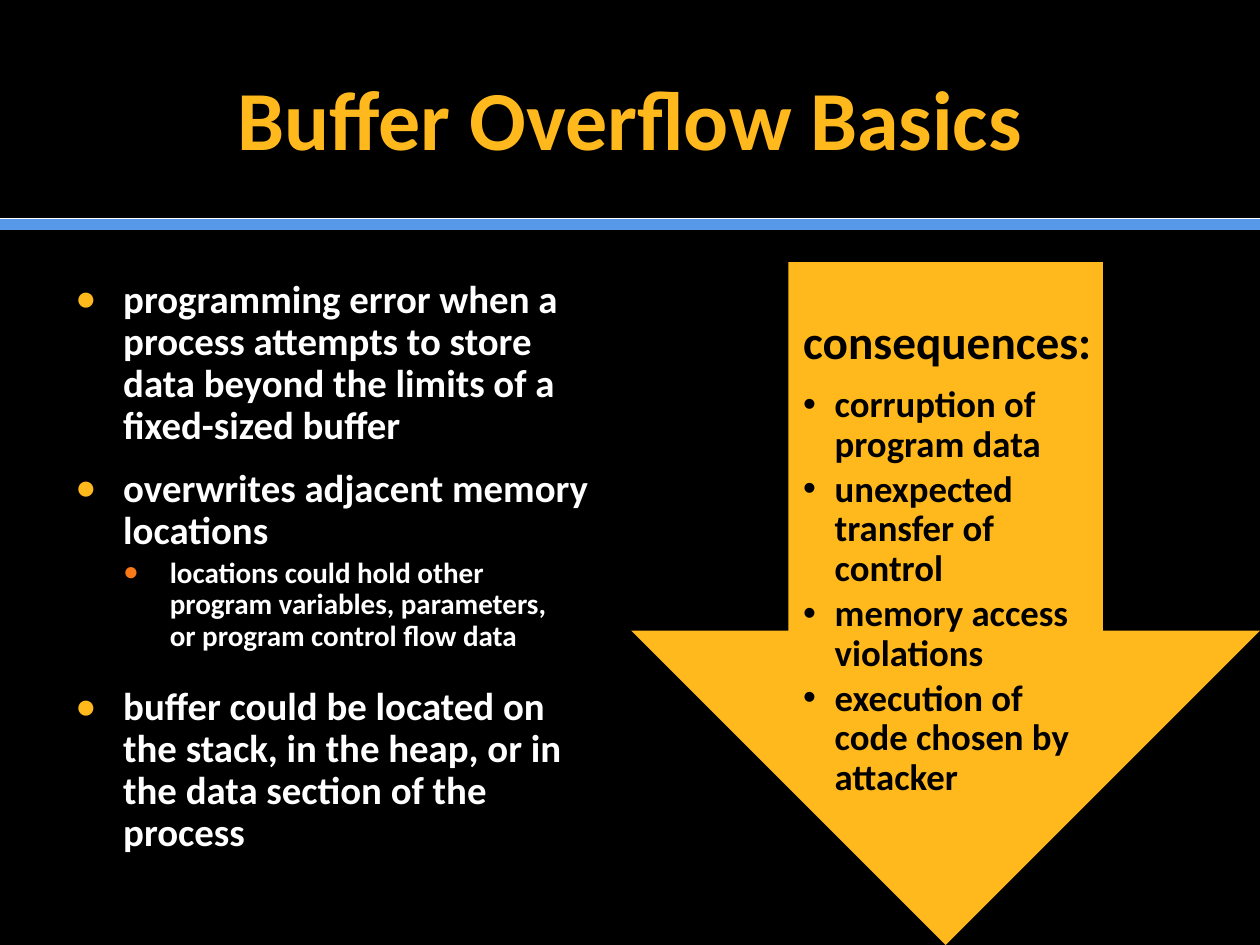
from dataclasses import dataclass

from lxml.etree import SubElement
from pptx import Presentation
from pptx.dml.color import RGBColor
from pptx.enum.shapes import MSO_CONNECTOR, MSO_SHAPE
from pptx.enum.text import MSO_ANCHOR, PP_ALIGN
from pptx.oxml.ns import qn
from pptx.util import Inches, Pt

# Content
TITLE = "Buffer Overflow Basics"
# (style, space before in points, text)
BASICS = [
    ("point", 0, "programming error when a process attempts to store data "
                 "beyond the limits of a fixed-sized buffer"),
    ("point", 12, "overwrites adjacent memory locations"),
    ("detail", 3.3, "locations could hold other program variables, parameters,"
                    "\vor program control flow data"),
    ("point", 20, "buffer could be located on the stack, in the heap, "
                  "or in the data section of the process"),
]
CONSEQUENCES = [
    ("heading", 0, "consequences:"),
    ("consequence", 9, "corruption of program data"),
    ("consequence", 3, "unexpected transfer of control"),
    ("consequence", 3, "memory access violations"),
    ("consequence", 3, "execution of code chosen by attacker"),
]


@dataclass(frozen=True)
class Style:
    size: float
    color: str
    bullet: str = ""
    bullet_color: str = ""
    bullet_share: int = 100
    indent: float = 0
    hang: float = 0


@dataclass(frozen=True)
class Theme:
    font: str = "Calibri"
    black: str = "000000"
    white: str = "FFFFFF"
    gold: str = "FFB91D"
    orange: str = "F97817"
    blue: str = "5799E8"
    title_size: int = 48
    line_spacing: float = 0.9


THEME = Theme()
STYLES = {
    "title": Style(THEME.title_size, THEME.gold),
    "point": Style(22.2, THEME.white, "●", THEME.gold, 90, 0.38, 0.38),
    "detail": Style(16.6, THEME.white, "●", THEME.orange, 90, 0.75, 0.37),
    "heading": Style(27, THEME.black),
    "consequence": Style(21, THEME.black, "•", THEME.black, 100, 0.25, 0.25),
}

# Layout in inches
WIDTH, HEIGHT = 10, 7.5
MARGIN = 0.05 * WIDTH
BODY_TOP = 2.17
ARROW_LEFT, ARROW_TOP = 5.01, 2.08
ARROW_WIDTH = WIDTH - ARROW_LEFT
PANEL_WIDTH, PANEL_HEIGHT = 2.8, 4.92
PANEL_LEFT = ARROW_LEFT + (ARROW_WIDTH - PANEL_WIDTH) / 2 + 0.06
PANEL_INSET = 0.21
RULES = [(1.78, THEME.blue, 7), (1.73, THEME.white, 0.5)]


def add_bullet(paragraph, style):
    props = paragraph._p.get_or_add_pPr()
    props.set("marL", str(Inches(style.indent)))
    props.set("indent", str(-Inches(style.hang)))
    color = SubElement(props, qn("a:buClr"))
    SubElement(color, qn("a:srgbClr"), val=style.bullet_color)
    SubElement(props, qn("a:buSzPct"), val=str(style.bullet_share * 1000))
    SubElement(props, qn("a:buFont"), typeface="Arial")
    SubElement(props, qn("a:buChar"), char=style.bullet)


def add_text(slide, box, items, anchor=MSO_ANCHOR.TOP, align=PP_ALIGN.LEFT,
             insets=(0.1, 0.05, 0.1, 0.05), spacing=THEME.line_spacing):
    frame = slide.shapes.add_textbox(*map(Inches, box)).text_frame
    frame.word_wrap = True
    frame.vertical_anchor = anchor
    (frame.margin_left, frame.margin_top,
     frame.margin_right, frame.margin_bottom) = map(Inches, insets)
    for index, (style_name, space_before, text) in enumerate(items):
        style = STYLES[style_name]
        paragraph = frame.add_paragraph() if index else frame.paragraphs[0]
        paragraph.text = text
        paragraph.alignment = align
        paragraph.line_spacing = spacing
        paragraph.space_before = Pt(space_before)
        if style.bullet:
            add_bullet(paragraph, style)
        for run in paragraph.runs:
            run.font.name = THEME.font
            run.font.size = Pt(style.size)
            run.font.bold = True
            run.font.color.rgb = RGBColor.from_string(style.color)


def add_rule(slide, y, color, weight):
    rule = slide.shapes.add_connector(
        MSO_CONNECTOR.STRAIGHT, 0, Inches(y), Inches(WIDTH), Inches(y))
    rule.line.color.rgb = RGBColor.from_string(color)
    rule.line.width = Pt(weight)
    SubElement(rule._element.spPr, qn("a:effectLst"))


def main():
    deck = Presentation()
    deck.slide_width, deck.slide_height = Inches(WIDTH), Inches(HEIGHT)
    slide = deck.slides.add_slide(deck.slide_layouts[6])
    slide.background.fill.solid()
    slide.background.fill.fore_color.rgb = RGBColor.from_string(THEME.black)

    # Header
    for rule in RULES:
        add_rule(slide, *rule)
    add_text(slide, (MARGIN, 0.3, WIDTH - 2 * MARGIN, 1.25),
             [("title", 0, TITLE)], MSO_ANCHOR.MIDDLE, PP_ALIGN.CENTER,
             spacing=1.0)

    # What a buffer overflow is
    add_text(slide, (MARGIN, BODY_TOP, 4.3, 4.92), BASICS)

    # What it leads to, on a down arrow
    arrow = slide.shapes.add_shape(
        MSO_SHAPE.DOWN_ARROW, Inches(ARROW_LEFT), Inches(ARROW_TOP),
        Inches(ARROW_WIDTH), Inches(HEIGHT - ARROW_TOP))
    arrow.shadow.inherit = False
    arrow.fill.solid()
    arrow.fill.fore_color.rgb = RGBColor.from_string(THEME.gold)
    arrow.line.fill.background()
    add_text(slide, (PANEL_LEFT, ARROW_TOP, PANEL_WIDTH, PANEL_HEIGHT),
             CONSEQUENCES, MSO_ANCHOR.MIDDLE,
             insets=(PANEL_INSET, 0, PANEL_INSET, PANEL_INSET))

    deck.save("out.pptx")


if __name__ == "__main__":
    main()
